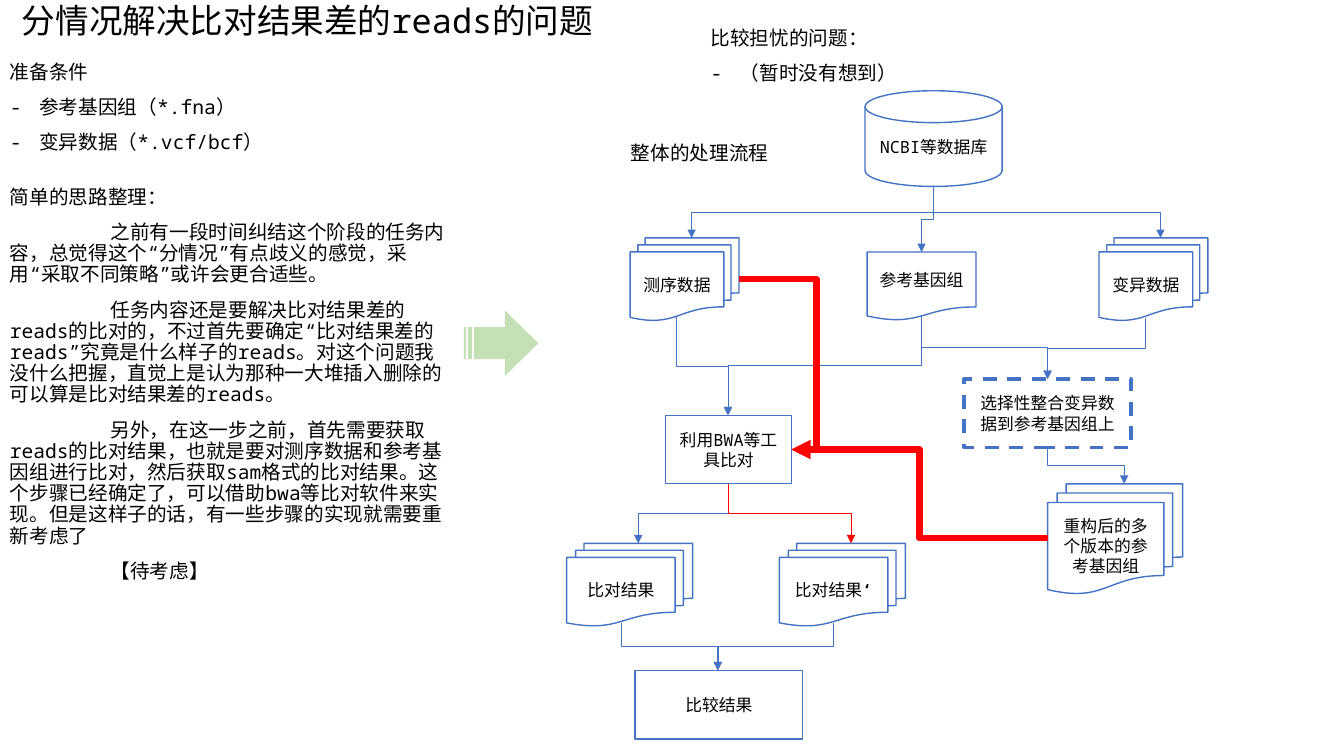
from dataclasses import dataclass

from lxml import etree
from pptx import Presentation
from pptx.dml.color import RGBColor
from pptx.enum.dml import MSO_LINE
from pptx.enum.shapes import MSO_CONNECTOR, MSO_SHAPE
from pptx.enum.text import MSO_ANCHOR, PP_ALIGN
from pptx.oxml.ns import qn
from pptx.util import Emu, Pt

PX = 9144  # 100 px to the inch
RECT = MSO_SHAPE.RECTANGLE
DOCUMENT = MSO_SHAPE.FLOWCHART_DOCUMENT
DOCUMENTS = MSO_SHAPE.FLOWCHART_MULTIDOCUMENT
DISK = MSO_SHAPE.FLOWCHART_MAGNETIC_DISK
STRIPED_ARROW = MSO_SHAPE.STRIPED_RIGHT_ARROW
ELBOW = MSO_CONNECTOR.ELBOW
DASH = MSO_LINE.DASH
LEFT, CENTER = PP_ALIGN.LEFT, PP_ALIGN.CENTER
MIDDLE = MSO_ANCHOR.MIDDLE


@dataclass(frozen=True)
class Theme:
    font: str = "Noto Sans Mono"
    ink: RGBColor = RGBColor(0, 0, 0)
    paper: RGBColor = RGBColor(255, 255, 255)
    blue: RGBColor = RGBColor(0x44, 0x72, 0xC4)
    red: RGBColor = RGBColor(255, 0, 0)
    green: RGBColor = RGBColor(0xC5, 0xE0, 0xB4)
    title_size: float = 24
    note_size: float = 14
    node_size: float = 12
    thin: float = 0.5
    outline: float = 1
    dashed: float = 2.5
    thick: float = 4.5


THEME = Theme()
Point = tuple[int, int]
Frame = tuple[int, int, int, int]


@dataclass(frozen=True)
class Line:
    text: str
    bullet: bool = False
    indent: int = 0


@dataclass(frozen=True)
class Note:
    frame: Frame
    lines: list[Line]
    align: PP_ALIGN = LEFT
    size: float = THEME.note_size


@dataclass(frozen=True)
class Node:
    kind: MSO_SHAPE
    frame: Frame
    text: str
    bold_mark: str = ""
    dashed: bool = False


@dataclass(frozen=True)
class Flow:
    start: Point
    end: Point
    color: RGBColor = THEME.blue
    width: float = THEME.thin
    vertical: bool = True
    bend: float = 0.5


NOTES = [
    Note((0, 0, 610, 46), [Line("分情况解决比对结果差的reads的问题")], CENTER, THEME.title_size),
    Note((0, 57, 434, 101), [
        Line("准备条件"),
        Line("参考基因组（*.fna）", bullet=True),
        Line("变异数据（*.vcf/bcf）", bullet=True),
    ]),
    Note((695, 23, 292, 66), [Line("比较担忧的问题："), Line("（暂时没有想到）", bullet=True)]),
    Note((0, 181, 460, 402), [
        Line("简单的思路整理："),
        Line("之前有一段时间纠结这个阶段的任务内容，总觉得这个“分情况”有点歧义的感觉，"
             "采用“采取不同策略”或许会更合适些。", indent=100),
        Line("任务内容还是要解决比对结果差的reads的比对的，不过首先要确定“比对结果差的reads”"
             "究竟是什么样子的reads。对这个问题我没什么把握，直觉上是认为那种一大堆插入删除的"
             "可以算是比对结果差的reads。", indent=100),
        Line("另外，在这一步之前，首先需要获取reads的比对结果，也就是要对测序数据和参考基因组"
             "进行比对，然后获取sam格式的比对结果。这个步骤已经确定了，可以借助bwa等比对软件来"
             "实现。但是这样子的话，有一些步骤的实现就需要重新考虑了", indent=100),
        Line("【待考虑】", indent=100),
    ]),
    Note((593, 137, 202, 31), [Line("整体的处理流程")], CENTER),
]

NODES = [
    Node(DISK, (858, 90, 136, 95), "NCBI等数据库"),
    Node(DOCUMENTS, (625, 236, 108, 82), "测序数据"),
    Node(DOCUMENT, (860, 250, 108, 68), "参考基因组"),
    Node(DOCUMENTS, (1090, 236, 108, 82), "变异数据"),
    Node(RECT, (956, 376, 166, 68), "选择性整合变异数据到参考基因组上", dashed=True),
    Node(RECT, (660, 412, 125, 68), "利用BWA等工具比对"),
    Node(DOCUMENTS, (1039, 480, 134, 109), "重构后的多个版本的参考基因组"),
    Node(DOCUMENTS, (562, 539, 125, 82), "比对结果"),
    Node(DOCUMENTS, (773, 539, 125, 82), "比对结果", bold_mark="‘"),
    Node(RECT, (630, 665, 166, 68), "比较结果"),
]

DATABASE_FOOT = (926, 185)
REFERENCE_FOOT = (914, 313)
MERGE_HEAD = (1039, 376)
ALIGN_HEAD = (722, 412)
ALIGN_FOOT = (722, 480)
ALIGN_SIDE = (785, 446)
COMPARE_HEAD = (712, 665)

FLOWS = [
    Flow(DATABASE_FOOT, (686, 236)),
    Flow(DATABASE_FOOT, (1151, 236)),
    Flow(DATABASE_FOOT, (914, 250)),
    Flow((671, 315), ALIGN_HEAD),
    Flow(REFERENCE_FOOT, ALIGN_HEAD),
    Flow(REFERENCE_FOOT, MERGE_HEAD),
    Flow((1136, 315), MERGE_HEAD),
    Flow(ALIGN_FOOT, (633, 539)),
    Flow((1039, 444), (1115, 480)),
    Flow((733, 277), ALIGN_SIDE, THEME.red, THEME.thick, vertical=False, bend=1.48),
    Flow((1039, 534), ALIGN_SIDE, THEME.red, THEME.thick, vertical=False),
    Flow((616, 618), COMPARE_HEAD),
    Flow((827, 618), COMPARE_HEAD),
    Flow(ALIGN_FOOT, (844, 539), THEME.red),
]


def scaled(frame: Frame) -> list[Emu]:
    return [Emu(length * PX) for length in frame]


def style_span(span, size: float) -> None:
    span.font.name = THEME.font
    span.font.size = Pt(size)
    span.font.color.rgb = THEME.ink
    east_asian = etree.SubElement(span._r.get_or_add_rPr(), qn("a:ea"))
    east_asian.set("typeface", THEME.font)


def draw_note(page, note: Note) -> None:
    box = page.shapes.add_textbox(*scaled(note.frame))
    text_frame = box.text_frame
    text_frame.word_wrap = True
    text_frame.text = "\n".join(line.text for line in note.lines)
    for index, (para, line) in enumerate(zip(text_frame.paragraphs, note.lines)):
        properties = para._p.get_or_add_pPr()
        if line.bullet:
            properties.set("marL", str(29 * PX))
            properties.set("indent", str(-29 * PX))
            etree.SubElement(properties, qn("a:buFont")).set("typeface", THEME.font)
            etree.SubElement(properties, qn("a:buChar")).set("char", "-")
        elif line.indent:
            properties.set("indent", str(line.indent * PX))
        para.alignment = note.align
        para.line_spacing = 0.9
        if index:
            para.space_before = Pt(10)
        style_span(para.runs[0], note.size)


def draw_node(page, node: Node) -> None:
    shape = page.shapes.add_shape(node.kind, *scaled(node.frame))
    shape.shadow.inherit = False
    shape.fill.solid()
    shape.fill.fore_color.rgb = THEME.paper
    shape.line.color.rgb = THEME.blue
    shape.line.width = Pt(THEME.dashed if node.dashed else THEME.outline)
    if node.dashed:
        shape.line.dash_style = DASH
    text_frame = shape.text_frame
    text_frame.word_wrap = True
    text_frame.vertical_anchor = MIDDLE
    text_frame.text = node.text
    para = text_frame.paragraphs[0]
    para.alignment = CENTER
    if node.bold_mark:
        mark = para.add_run()
        mark.text = node.bold_mark
        mark.font.bold = True
    for span in para.runs:
        style_span(span, THEME.node_size)


def draw_flow(page, flow: Flow) -> None:
    connector = page.shapes.add_connector(ELBOW, *scaled(flow.start + flow.end))
    properties = connector._element.spPr
    if flow.vertical:
        # Turn the elbow a quarter so that it leaves downwards
        (x1, y1), (x2, y2) = flow.start, flow.end
        across, down = abs(x2 - x1), y2 - y1
        connector.left = Emu((x1 + x2 - down) * PX // 2)
        connector.top = Emu((y1 + y2 - across) * PX // 2)
        connector.width, connector.height = Emu(down * PX), Emu(across * PX)
        to_right = x2 > x1
        transform = properties.find(qn("a:xfrm"))
        transform.set("rot", str((270 if to_right else 90) * 60000))
        transform.set("flipH", str(int(to_right)))
    guide = etree.SubElement(properties.find(qn("a:prstGeom")).find(qn("a:avLst")), qn("a:gd"))
    guide.set("name", "adj1")
    guide.set("fmla", f"val {round(flow.bend * 100000)}")
    connector.line.color.rgb = flow.color
    connector.line.width = Pt(flow.width)
    etree.SubElement(connector.get_or_add_ln(), qn("a:tailEnd")).set("type", "triangle")
    etree.SubElement(properties, qn("a:effectLst"))


def draw_green_arrow(page) -> None:
    arrow = page.shapes.add_shape(STRIPED_ARROW, *scaled((460, 308, 74, 65)))
    arrow.shadow.inherit = False
    arrow.adjustments[0], arrow.adjustments[1] = 0.49, 0.51
    arrow.fill.solid()
    arrow.fill.fore_color.rgb = THEME.green
    arrow.line.fill.background()


def main() -> None:
    deck = Presentation()
    deck.slide_width, deck.slide_height = Emu(1333 * PX), Emu(750 * PX)
    page = deck.slides.add_slide(deck.slide_layouts[6])
    # Text on the left and the headings
    for note in NOTES:
        draw_note(page, note)
    draw_green_arrow(page)
    # Flow chart
    for node in NODES:
        draw_node(page, node)
    for flow in FLOWS:
        draw_flow(page, flow)
    deck.save("out.pptx")


if __name__ == "__main__":
    main()
